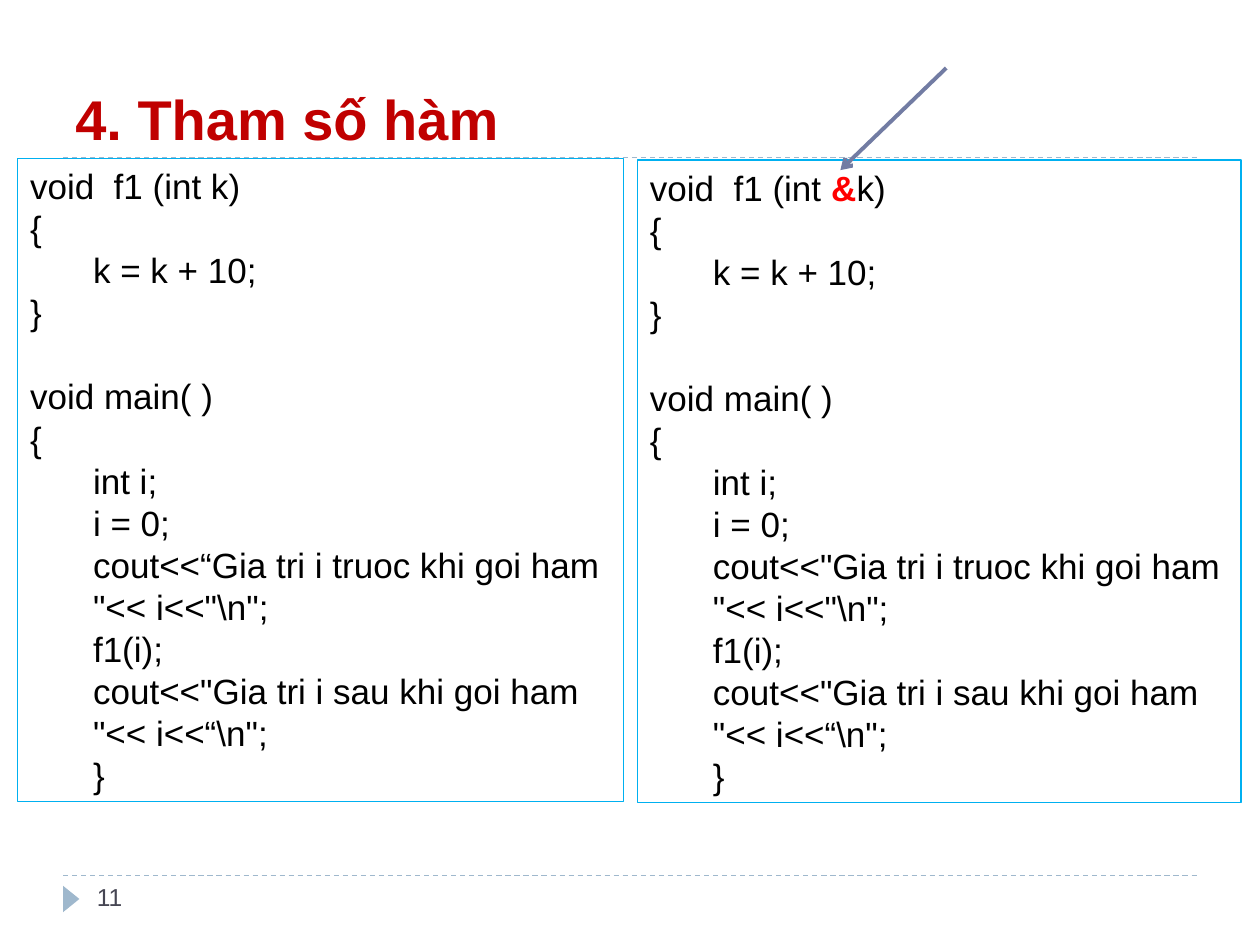
from pptx import Presentation
from pptx.dml.color import RGBColor
from pptx.enum.dml import MSO_LINE
from pptx.enum.shapes import MSO_CONNECTOR, MSO_SHAPE
from pptx.enum.text import MSO_ANCHOR, PP_ALIGN
from pptx.oxml.ns import qn
from pptx.util import Inches, Pt
from lxml import etree

DASH = MSO_LINE.DASH
STRAIGHT = MSO_CONNECTOR.STRAIGHT
RECTANGLE = MSO_SHAPE.RECTANGLE
TRIANGLE = MSO_SHAPE.ISOSCELES_TRIANGLE
TOP, BOTTOM = MSO_ANCHOR.TOP, MSO_ANCHOR.BOTTOM
LEFT = PP_ALIGN.LEFT

FONT = "Arial"
BLACK, RED, DARK_RED, GRAY = "000000", "FF0000", "C00000", "464653"
PALE_BLUE, BORDER_BLUE, ARROW_BLUE = "9FB8CD", "00B0F0", "727CA3"

CODE_SIZE = 20
LINE_PITCH = 24
INDENT = 0.5

TITLE = "4. Tham số hàm"
PAGE_NUMBER = "11"
RULE_HEIGHTS = (1.25, 6.95)

FUNCTION_BODY = ["{", "\tk = k + 10;", "}"]
MAIN_HEAD = ["void main( )", "{"]
PANELS = [
    {
        "box": (0.14, 1.26, 4.81, 5.1),
        "signature": [("void  f1 (int k)", BLACK, False)],
        "before_call": 'cout<<“Gia tri i truoc khi goi ham "<< i<<"\\n";',
    },
    {
        "box": (5.06, 1.27, 4.79, 5.1),
        "signature": [("void  f1 (int ", BLACK, False), ("&", RED, True), ("k)", BLACK, False)],
        "before_call": 'cout<<"Gia tri i truoc khi goi ham "<< i<<"\\n";',
    },
]
AFTER_CALL = 'cout<<"Gia tri i sau khi goi ham "<< i<<“\\n";'


def color(value):
    return RGBColor.from_string(value)


def add_text(paragraph, text, size=CODE_SIZE, text_color=BLACK, bold=False):
    run = paragraph.add_run()
    run.text = text
    run.font.name = FONT
    run.font.size = Pt(size)
    run.font.bold = bold
    run.font.color.rgb = color(text_color)


def prepare_frame(shape, anchor=TOP):
    frame = shape.text_frame
    frame.word_wrap = True
    frame.vertical_anchor = anchor
    frame.paragraphs[0].alignment = LEFT
    return frame


def add_label(slide, box, text, anchor=TOP, **text_format):
    shape = slide.shapes.add_textbox(*map(Inches, box))
    add_text(prepare_frame(shape, anchor).paragraphs[0], text, **text_format)


def add_line(slide, start, end, line_color, width):
    connector = slide.shapes.add_connector(STRAIGHT, *map(Inches, start + end))
    connector.line.color.rgb = color(line_color)
    connector.line.width = Pt(width)
    etree.SubElement(connector._element.spPr, qn("a:effectLst"))
    return connector


def add_code_panel(slide, panel):
    shape = slide.shapes.add_shape(RECTANGLE, *map(Inches, panel["box"]))
    shape.shadow.inherit = False
    shape.fill.background()
    shape.line.color.rgb = color(BORDER_BLUE)
    shape.line.width = Pt(0.75)
    frame = prepare_frame(shape)
    main_body = ["int i;", "i = 0;", panel["before_call"], "f1(i);", AFTER_CALL, "}"]
    plain_lines = FUNCTION_BODY + MAIN_HEAD + main_body
    lines = [panel["signature"]] + [[(text, BLACK, False)] for text in plain_lines]
    first_indented = len(lines) - len(main_body)
    for index, runs in enumerate(lines):
        paragraph = frame.add_paragraph() if index else frame.paragraphs[0]
        paragraph.alignment = LEFT
        paragraph.line_spacing = Pt(LINE_PITCH)
        if runs[0][0] == MAIN_HEAD[0]:
            paragraph.space_before = Pt(LINE_PITCH)
        if index >= first_indented:
            properties = paragraph._p.get_or_add_pPr()
            properties.set("marL", str(Inches(INDENT)))
            properties.set("indent", "0")
        for text, text_color, bold in runs:
            add_text(paragraph, text, text_color=text_color, bold=bold)


def main():
    presentation = Presentation()
    presentation.slide_width = Inches(10)
    presentation.slide_height = Inches(7.5)
    slide = presentation.slides.add_slide(presentation.slide_layouts[6])

    for height in RULE_HEIGHTS:
        rule = add_line(slide, (0.5, height), (9.5, height), PALE_BLUE, 0.75)
        rule.line.dash_style = DASH

    marker = slide.shapes.add_shape(TRIANGLE, *map(Inches, (0.46, 7.07, 0.21, 0.13)))
    marker.rotation = 90
    marker.shadow.inherit = False
    marker.fill.solid()
    marker.fill.fore_color.rgb = color(PALE_BLUE)
    marker.line.fill.background()

    add_label(slide, (0.5, 0.17, 9, 1.08), TITLE, anchor=BOTTOM,
              size=32, text_color=DARK_RED, bold=True)
    for panel in PANELS:
        add_code_panel(slide, panel)
    add_label(slide, (0.67, 6.95, 2.17, 0.4), PAGE_NUMBER, size=14, text_color=GRAY)

    arrow = add_line(slide, (7.51, 0.54), (6.67, 1.35), ARROW_BLUE, 2.25)
    etree.SubElement(arrow.line._get_or_add_ln(), qn("a:tailEnd"), type="arrow")

    presentation.save("out.pptx")


if __name__ == "__main__":
    main()
